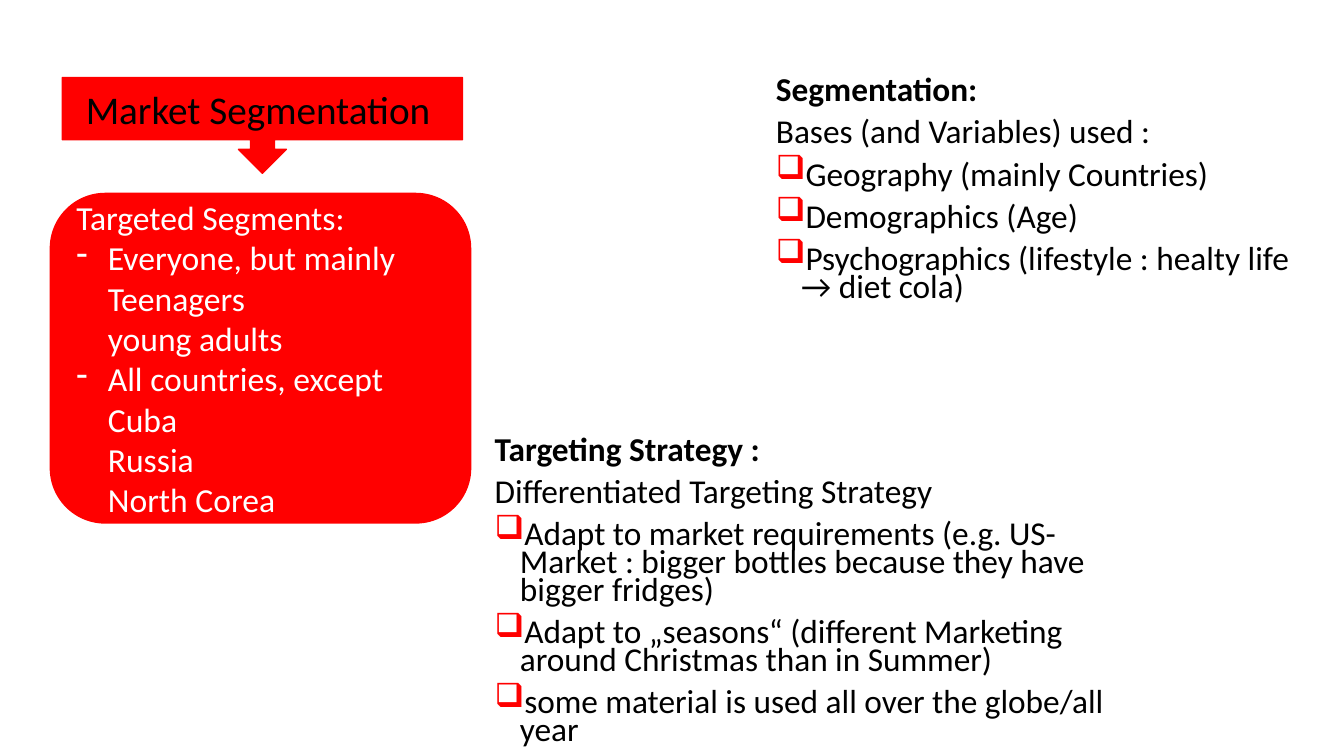
from lxml import etree
from pptx import Presentation
from pptx.dml.color import RGBColor
from pptx.enum import shapes, text
from pptx.oxml import ns
from pptx.util import Pt

RED, BLACK, WHITE = "FF0000", "000000", "FFFFFF"
FONT = "Calibri"


def color(hex_string):
    return RGBColor.from_string(hex_string)


def add_bullet(paragraph, symbol, indent, bullet_color=None, bullet_font=None):
    properties = paragraph._p.get_or_add_pPr()
    properties.set("marL", str(Pt(indent)))
    properties.set("indent", str(-Pt(indent)))
    if bullet_color:
        fill = etree.SubElement(properties, ns.qn("a:buClr"))
        etree.SubElement(fill, ns.qn("a:srgbClr"), val=bullet_color)
    if bullet_font:
        etree.SubElement(properties, ns.qn("a:buFont"), typeface=bullet_font)
    etree.SubElement(properties, ns.qn("a:buChar"), char=symbol)


def add_lines(paragraph, lines, size, font_color, bold=False):
    for index, line in enumerate(lines):
        if index:
            paragraph.add_line_break()
        run = paragraph.add_run()
        run.text = line
        run.font.name = FONT
        run.font.size = Pt(size)
        run.font.bold = bold
        run.font.color.rgb = color(font_color)
    paragraph.font.size = Pt(size)


def next_paragraph(frame, index):
    return frame.add_paragraph() if index else frame.paragraphs[0]


def add_red_shape(slide, kind, box):
    shape = slide.shapes.add_shape(kind, *map(Pt, box))
    shape.shadow.inherit = False
    shape.fill.solid()
    shape.fill.fore_color.rgb = color(RED)
    shape.line.color.rgb = color(RED)
    shape.line.width = Pt(1)
    shape.text_frame.word_wrap = True
    shape.text_frame.vertical_anchor = text.MSO_ANCHOR.MIDDLE
    return shape


# Heading with an arrow pointing at the segments
def add_heading(slide, box, title):
    shape = add_red_shape(slide, shapes.MSO_SHAPE.DOWN_ARROW_CALLOUT, box)
    paragraph = shape.text_frame.paragraphs[0]
    paragraph.alignment = text.PP_ALIGN.CENTER
    add_lines(paragraph, [title], 28, BLACK)


# Rounded panel: a title and dashed groups of lines
def add_segments(slide, box, title, groups):
    shape = add_red_shape(slide, shapes.MSO_SHAPE.ROUNDED_RECTANGLE, box)
    for index, lines in enumerate([[title], *groups]):
        paragraph = next_paragraph(shape.text_frame, index)
        paragraph.alignment = text.PP_ALIGN.LEFT
        if index:
            add_bullet(paragraph, "-", 22.5)
        add_lines(paragraph, lines, 24, WHITE)


# Notes: bold title, subtitle, then box bullets
def add_notes(slide, box, title, subtitle, bullets, right_margin=7.2):
    frame = slide.shapes.add_textbox(*map(Pt, box)).text_frame
    frame.word_wrap = True
    frame.margin_right = Pt(right_margin)
    for index, line in enumerate([title, subtitle, *bullets]):
        paragraph = next_paragraph(frame, index)
        paragraph.line_spacing = 0.7
        if index:
            paragraph.space_before = Pt(10)
        if index > 1:
            add_bullet(paragraph, "❑", 18, RED, "OpenSymbol")
        add_lines(paragraph, [line], 23.8, BLACK, bold=index == 0)


def main():
    presentation = Presentation()
    presentation.slide_width, presentation.slide_height = Pt(960), Pt(540)
    slide = presentation.slides.add_slide(presentation.slide_layouts[6])

    add_notes(slide, (547.2, 53.3, 396, 202.3),
              "Segmentation:", "Bases (and Variables) used :",
              ["Geography (mainly Countries)",
               "Demographics (Age)",
               "Psychographics (lifestyle : healty life → diet cola)"])
    add_notes(slide, (346.3, 310.3, 493.9, 214.6),
              "Targeting Strategy :", "Differentiated Targeting Strategy",
              ["Adapt to market requirements (e.g. US-Market : bigger bottles "
               "because they have bigger fridges)",
               "Adapt to „seasons“ (different Marketing around Christmas "
               "than in Summer)",
               "some material is used all over the globe/all year"],
              right_margin=29)
    add_segments(slide, (36, 138.2, 300.2, 235.4), "Targeted Segments:",
                 [["Everyone, but mainly", "Teenagers", "young adults"],
                  ["All countries, except", "Cuba", "Russia", "North Corea"]])
    add_heading(slide, (44.6, 55.4, 285.8, 68.4), "Market Segmentation ")

    presentation.save("out.pptx")


if __name__ == "__main__":
    main()
